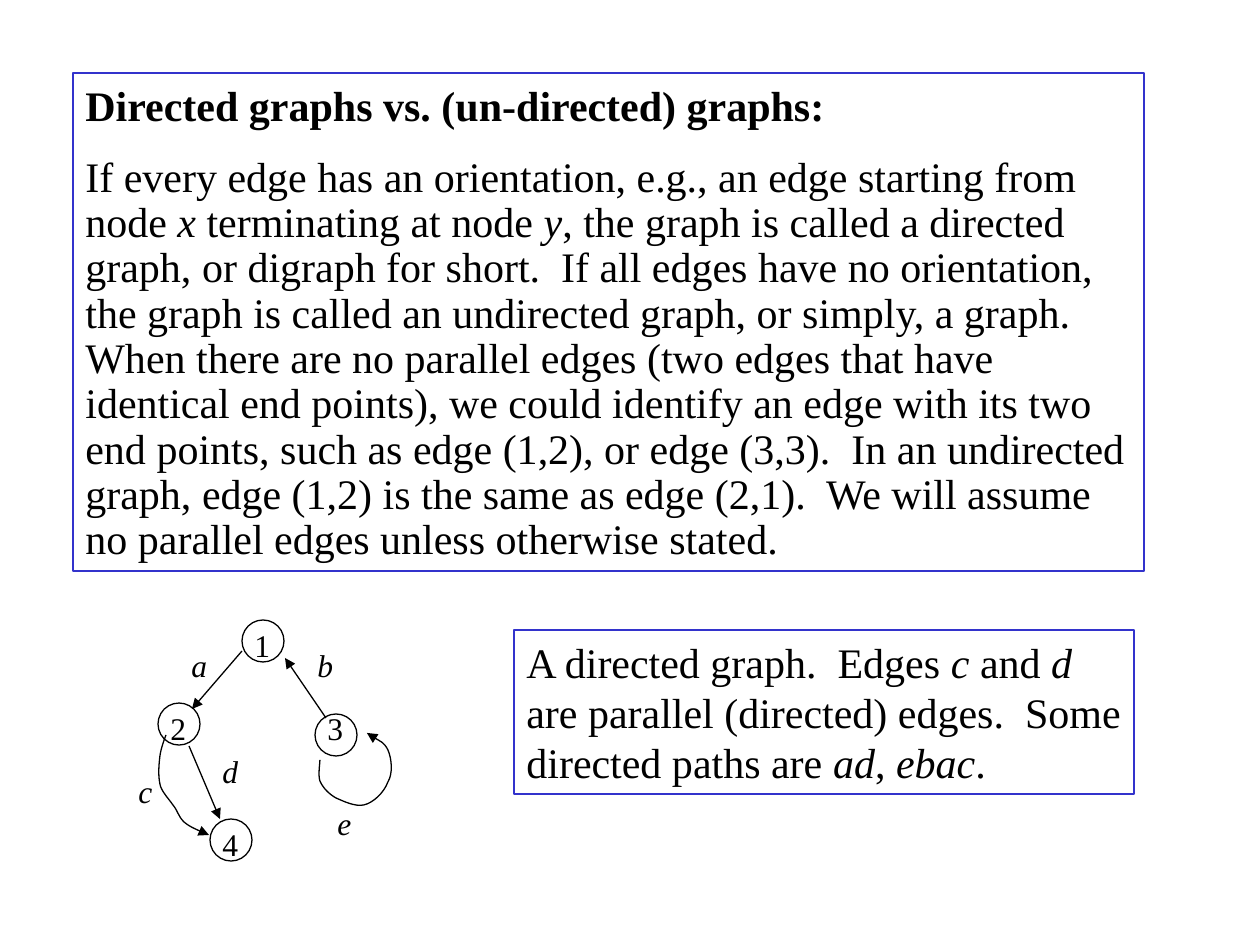
"""Build a slide that explains directed graphs with a small labelled example."""
from typing import NamedTuple

from lxml import etree
from pptx import Presentation
from pptx import util as u
from pptx.dml.color import RGBColor
from pptx.enum import shapes, text
from pptx.oxml.ns import qn

PX = 914400 / 126
FONT = "Times New Roman"
BLACK, BLUE = "000000", "3333CC"
NODE_SIZE, LABEL_HEIGHT = 42, 50


class Node(NamedTuple):
    x: int
    y: int


class Label(NamedTuple):
    name: str
    x: int
    y: int
    w: int


class Edge(NamedTuple):
    x1: int
    y1: int
    x2: int
    y2: int


class Para(NamedTuple):
    runs: list[str]
    bold: bool = False
    spacing: float | None = None


NODES = [Node(242, 620), Node(158, 703), Node(315, 714), Node(210, 819)]
LABELS = [
    Label("1", 242, 620, 53), Label("2", 158, 703, 42), Label("3", 315, 703, 42),
    Label("4", 210, 819, 63), Label("a", 179, 640, 53), Label("b", 305, 640, 53),
    Label("c", 126, 766, 73), Label("d", 210, 746, 42), Label("e", 325, 798, 84),
]
EDGES = [Edge(242, 651, 192, 709), Edge(326, 718, 285, 658), Edge(189, 746, 220, 819)]
CURVES = [
    [(320, 760), (320, 764), (318, 775), (320, 781), (323, 788), (329, 794), (336, 798),
     (343, 801), (355, 807), (364, 805), (373, 803), (384, 793), (388, 782),
     (393, 774), (392, 759), (388, 750), (384, 742), (372, 737), (367, 733)],
    [(166, 735), (165, 738), (161, 748), (160, 756), (159, 764), (158, 775), (160, 784),
     (161, 791), (169, 799), (173, 805), (178, 811), (178, 816), (184, 822),
     (190, 827), (204, 833), (209, 835)],
]
DEFINITION = [
    Para(["Directed graphs vs. (un-directed) graphs:"], bold=True),
    Para([
        "If every edge has an orientation, e.g., an edge starting from node ", "x",
        " terminating at node ", "y",
        ", the graph is called a directed graph, or digraph for short.  If all edges have "
        "no orientation, the graph is called an undirected graph, or simply, a graph.  "
        "When there are no parallel edges (two edges that have identical end points), we "
        "could identify an edge with its two end points, such as edge (1,2), or edge "
        "(3,3).  In an undirected graph, edge (1,2) is the same as edge (2,1).  We will "
        "assume no parallel edges unless otherwise stated.",
    ], spacing=0.9),
]
CAPTION = [Para([
    "A directed graph.  Edges ", "c", " and ", "d",
    " are parallel (directed) edges.  Some directed paths are ", "ad", ", ", "ebac", ".",
])]


def px(n: int) -> int:
    """Turn pixels into EMU."""
    return u.Emu(round(n * PX))


def rgb(color: str) -> RGBColor:
    """Turn a hex string into a colour."""
    return RGBColor.from_string(color)


def outline(sp, color: str) -> None:
    """Give a shape or connector a thin line."""
    sp.line.color.rgb = rgb(color)
    sp.line.width = u.Pt(0.75)


def arrowhead(sp) -> None:
    """Put a triangle at the end of a line."""
    etree.SubElement(sp.line._get_or_add_ln(), qn("a:tailEnd"), type="triangle")


def write(tf, paras: list[Para], size: int, before: float, italic_first: bool = False) -> None:
    """Write paragraphs whose runs alternate between upright and italic."""
    tf.word_wrap = True
    tf.auto_size = text.MSO_AUTO_SIZE.SHAPE_TO_FIT_TEXT
    tf.vertical_anchor = text.MSO_ANCHOR.TOP
    for i, para in enumerate(paras):
        p = tf.add_paragraph() if i else tf.paragraphs[0]
        p.alignment = text.PP_ALIGN.LEFT
        p.space_before = u.Pt(before)
        if para.spacing:
            p.line_spacing = para.spacing
        for j, words in enumerate(para.runs):
            r = p.add_run()
            r.text = words
            r.font.name, r.font.size = FONT, u.Pt(size)
            r.font.bold = para.bold
            r.font.italic = (j % 2 == 1) != italic_first
            r.font.color.rgb = rgb(BLACK)


def add_outlined(s, kind, x: int, y: int, w: int, h: int, color: str):
    """Add an unfilled preset shape."""
    sp = s.shapes.add_shape(kind, px(x), px(y), px(w), px(h))
    sp.shadow.inherit = False
    sp.fill.background()
    outline(sp, color)
    return sp


def add_box(s, x: int, y: int, w: int, h: int, paras: list[Para]) -> None:
    """Add a framed block of text."""
    sp = add_outlined(s, shapes.MSO_SHAPE.RECTANGLE, x, y, w, h, BLUE)
    write(sp.text_frame, paras, 24, 15)


def add_edge(s, edge: Edge) -> None:
    """Add a straight arrow."""
    points = [px(n) for n in edge]
    sp = s.shapes.add_connector(shapes.MSO_CONNECTOR.STRAIGHT, *points)
    outline(sp, BLACK)
    arrowhead(sp)
    etree.SubElement(sp._element.spPr, qn("a:effectLst"))


def add_curve(s, points: list[tuple[int, int]]) -> None:
    """Add a curved arrow from a start point and triples of Bezier points."""
    builder = s.shapes.build_freeform(*points[0], scale=PX)
    builder.add_line_segments(points[1:], close=False)
    sp = builder.convert_to_shape()
    sp.shadow.inherit = False
    sp.fill.background()
    outline(sp, BLACK)
    arrowhead(sp)
    outline_path = next(sp._element.iter(qn("a:path")))
    steps = outline_path.findall(qn("a:lnTo"))
    for i in range(0, len(steps), 3):
        curve = etree.SubElement(outline_path, qn("a:cubicBezTo"))
        for step in steps[i:i + 3]:
            curve.append(step[0])
            outline_path.remove(step)


def add_label(s, label: Label) -> None:
    """Name a node in upright or an edge in italic type."""
    sp = s.shapes.add_textbox(px(label.x), px(label.y), px(label.w), px(LABEL_HEIGHT))
    write(sp.text_frame, [Para([label.name])], 18, 11.2, label.name.isalpha())


def main() -> None:
    """Build and save the slide."""
    prs = Presentation()
    prs.slide_width, prs.slide_height = px(1260), px(945)
    s = prs.slides.add_slide(prs.slide_layouts[6])
    add_box(s, 73, 73, 1071, 498, DEFINITION)
    for edge in EDGES:
        add_edge(s, edge)
    for points in CURVES:
        add_curve(s, points)
    for node in NODES:
        add_outlined(s, shapes.MSO_SHAPE.OVAL, *node, NODE_SIZE, NODE_SIZE, BLACK)
    for label in LABELS:
        add_label(s, label)
    add_box(s, 514, 630, 620, 164, CAPTION)
    prs.save("out.pptx")


if __name__ == "__main__":
    main()
